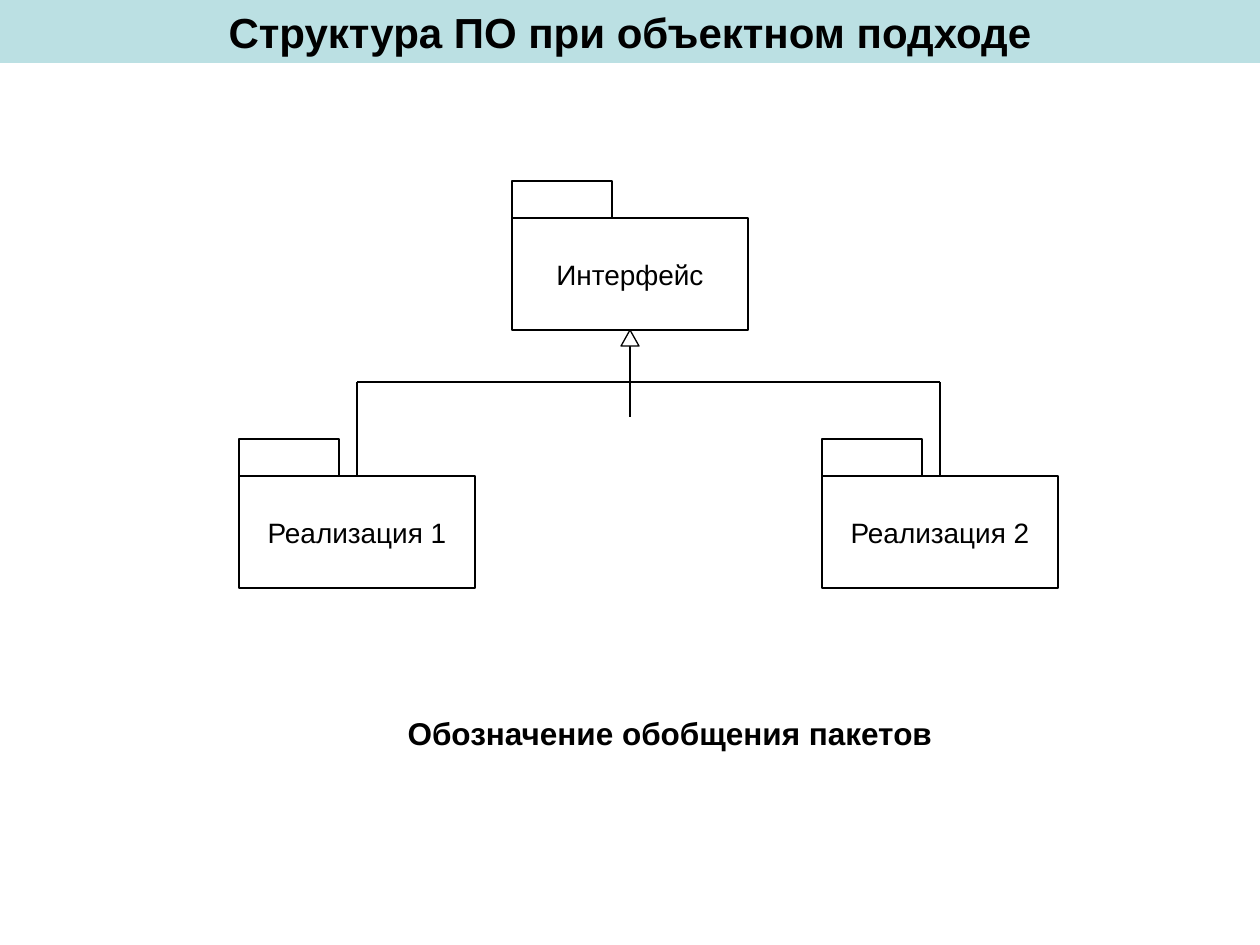
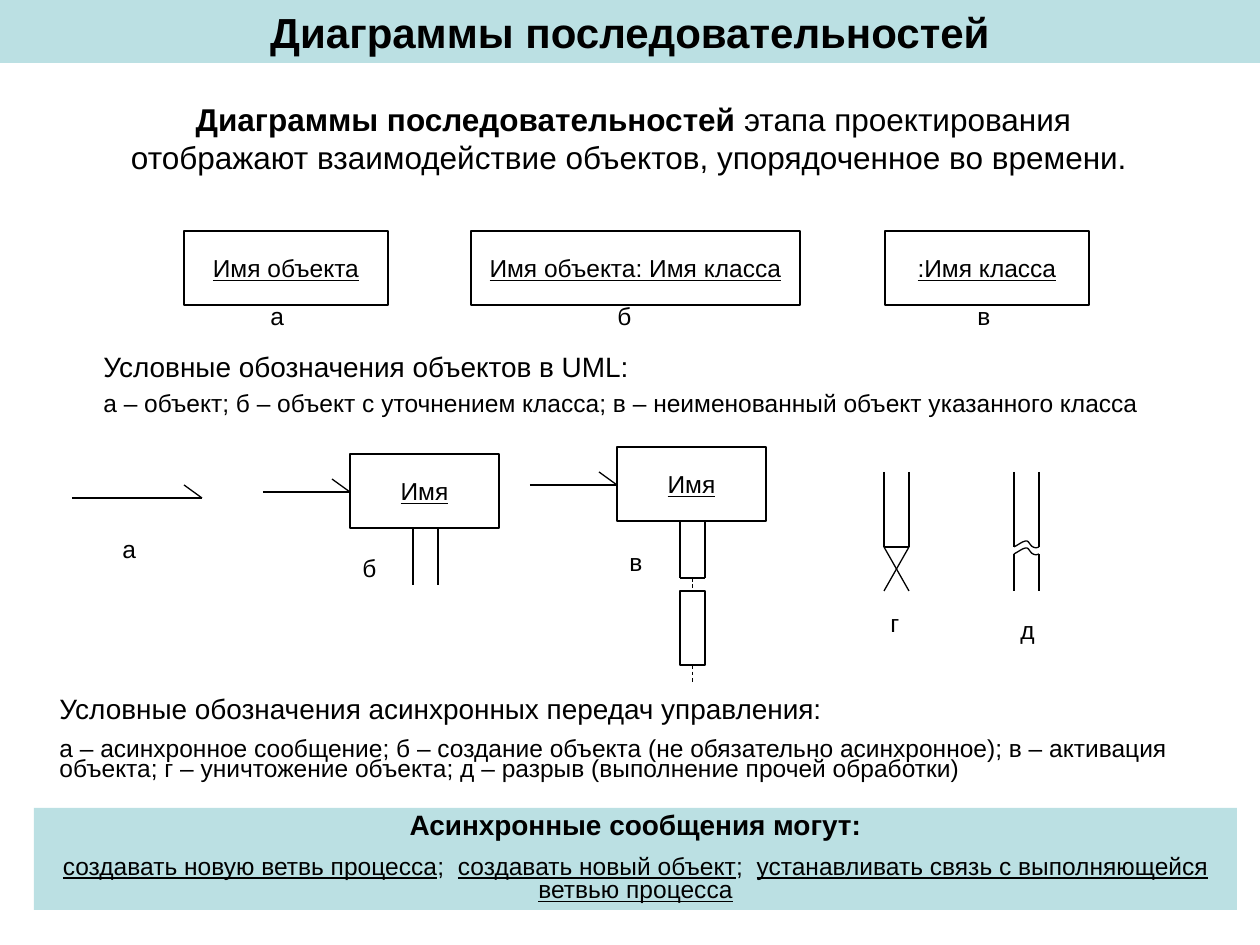
import dataclasses

import lxml.etree
import pptx
import pptx.dml.color
import pptx.enum.dml
import pptx.enum.shapes
import pptx.enum.text
import pptx.oxml.ns
import pptx.util

KIND = pptx.enum.shapes.MSO_SHAPE
ALIGN = pptx.enum.text.PP_ALIGN
ANCHOR = pptx.enum.text.MSO_ANCHOR
UNIT = 914400 / 126  # EMU in one px


@dataclasses.dataclass(frozen=True)
class Theme:
    ink: str = "000000"
    paper: str = "FFFFFF"
    band: str = "BBE0E3"
    font: str = "Arial"
    title: int = 24
    lead: int = 18
    text: int = 16
    small: int = 14
    thin: float = 0.75
    hair: float = 0.5
    gap: float = 0.625  # space before a paragraph, as a share of its size


THEME = Theme()


@dataclasses.dataclass
class Para:
    runs: list  # pairs of text and marks: "b" bold, "u" underlined
    size: int
    align: ALIGN = ALIGN.LEFT
    gap: float = THEME.gap
    pitch: float = 1.0


def px(*sizes):
    return [round(size * UNIT) for size in sizes]


def tint(code):
    return pptx.dml.color.RGBColor.from_string(code)


# Text

def write(shape, paras, wrap=True, anchor=ANCHOR.TOP):
    frame = shape.text_frame
    frame.word_wrap = wrap
    frame.vertical_anchor = anchor
    for i, para in enumerate(paras):
        item = frame.add_paragraph() if i else frame.paragraphs[0]
        item.alignment = para.align
        item.line_spacing = para.pitch
        item.space_before = pptx.util.Pt(para.size * para.gap)
        for words, marks in para.runs:
            run = item.add_run()
            run.text = words
            run.font.name = THEME.font
            run.font.size = pptx.util.Pt(para.size)
            run.font.bold = "b" in marks
            run.font.underline = "u" in marks
            run.font.color.rgb = tint(THEME.ink)


def note(slide, x, y, w, h, paras):
    write(slide.shapes.add_textbox(*px(x, y, w, h)), paras)


def mark(slide, x, y, sign):
    note(slide, x, y, 43, 43, [Para([(sign, "")], THEME.small)])


# Shapes and lines

def paint(shape, fill=None, edge=True):
    shape.shadow.inherit = False
    if fill:
        shape.fill.solid()
        shape.fill.fore_color.rgb = tint(fill)
    else:
        shape.fill.background()
    if edge:
        shape.line.color.rgb = tint(THEME.ink)
        shape.line.width = pptx.util.Pt(THEME.thin)
    else:
        shape.line.fill.background()


def draw(shapes, x, y, w, h, fill=None, edge=True, kind=KIND.RECTANGLE):
    shape = shapes.add_shape(kind, *px(x, y, w, h))
    paint(shape, fill, edge)
    return shape


def box(shapes, x, y, w, h, name, size, marks=""):
    para = Para([(name, marks)], size, ALIGN.CENTER, gap=0)
    write(draw(shapes, x, y, w, h), [para], wrap=False, anchor=ANCHOR.MIDDLE)


def band(slide, x, y, w, h, paras):
    write(draw(slide.shapes, x, y, w, h, THEME.band, edge=False), paras)


def chain(shapes, *points, dashed=False):
    """Join the points by straight lines."""
    for start, end in zip(points, points[1:]):
        line = shapes.add_connector(
            pptx.enum.shapes.MSO_CONNECTOR.STRAIGHT, *px(*start, *end))
        line.line.color.rgb = tint(THEME.ink)
        line.line.width = pptx.util.Pt(THEME.hair if dashed else THEME.thin)
        if dashed:
            line.line.dash_style = pptx.enum.dml.MSO_LINE.DASH
        lxml.etree.SubElement(line._element.spPr,
                              pptx.oxml.ns.qn("a:effectLst"))


def group(slide):
    return slide.shapes.add_group_shape().shapes


# Diagram parts

def pack(slide, x, y, name):
    """UML package: a body with a tab on its top left."""
    parts = group(slide)
    box(parts, x, y, 236, 112, name, THEME.text)
    draw(parts, x, y - 37, 100, 37)


def arrow(shapes, tail, tip, y):
    """Half-headed arrow of an asynchronous message."""
    chain(shapes, (tail, y), (tip, y), (tip - 18, y - 13))


def rails(shapes, x, top, base):
    for side in (x, x + 25):
        chain(shapes, (side, top), (side, base))


def node(slide, x, y):
    """Object that gets a message, with the start of its activation."""
    parts = group(slide)
    box(parts, x, y, 149, 74, "Имя", THEME.small, "u")
    arrow(parts, x - 87, x, y + 38)
    rails(parts, x + 63, y + 74, y + 131)
    return parts


def wave(shapes, x, y):
    """Break sign made of three cubic curves."""
    knots = [(0, 0), (5, -2.5), (9, -6), (12.5, -6), (15, -6), (16, -1.5),
             (19, 0), (21, 1), (23, 1), (25, 0)]
    steps = 8
    dots = []
    for first in range(0, 9, 3):
        a, b, c, d = knots[first:first + 4]
        for step in range(1, steps + 1):
            t = step / steps
            s = 1 - t
            dots.append(px(*(
                base + s**3 * a[i] + 3 * s * s * t * b[i]
                + 3 * s * t * t * c[i] + t**3 * d[i]
                for i, base in enumerate((x, y)))))
    pen = shapes.build_freeform(*px(x, y), scale=1.0)
    pen.add_line_segments(dots, close=False)
    paint(pen.convert_to_shape())


# Slides

def start(deck, title):
    slide = deck.slides.add_slide(deck.slide_layouts[6])
    band(slide, 0, 0, 1260, 63,
         [Para([(title, "b")], THEME.title, ALIGN.CENTER)])
    return slide


def struct(deck):
    slide = start(deck, "Структура ПО при объектном подходе")
    pack(slide, 512, 218, "Интерфейс")
    pack(slide, 239, 476, "Реализация 1")
    pack(slide, 822, 476, "Реализация 2")

    # Generalization link
    link = group(slide)
    chain(link, (357, 476), (357, 382), (940, 382), (940, 476))
    chain(link, (630, 330), (630, 417))
    draw(link, 621, 330, 18, 16, THEME.paper, kind=KIND.ISOSCELES_TRIANGLE)

    note(slide, 152, 708, 1036, 50,
         [Para([("Обозначение обобщения пакетов", "b")],
               THEME.lead, ALIGN.CENTER)])


def order(deck):
    slide = start(deck, "Диаграммы последовательностей")
    note(slide, 91, 94, 1085, 88, [Para([
        ("Диаграммы последовательностей", "b"),
        (" этапа проектирования отображают взаимодействие объектов, "
         "упорядоченное во времени. ", "")], THEME.lead, ALIGN.CENTER)])

    # Object signs
    for x, w, name, left, sign in (
            (184, 204, "Имя объекта", 258, "а"),
            (471, 329, "Имя объекта: Имя класса", 605, "б"),
            (885, 204, ":Имя класса", 965, "в")):
        box(slide.shapes, x, 231, w, 74, name, THEME.small, "u")
        mark(slide, left, 295, sign)
    note(slide, 91, 343, 1074, 79, [
        Para([("Условные обозначения объектов в UML:", "")], THEME.text),
        Para([("а – объект; б – объект с уточнением класса; "
               "в – неименованный объект указанного класса", "")],
             THEME.small, pitch=0.6)])

    # Message, creation and activation
    arrow(group(slide), 72, 202, 498)
    node(slide, 350, 454)
    live = node(slide, 617, 447)
    chain(live, (680, 578), (705, 578))
    chain(live, (692, 578), (692, 683), dashed=True)
    draw(live, 680, 591, 25, 74, THEME.paper)

    # Destruction
    kill = group(slide)
    rails(kill, 884, 472, 547)
    chain(kill, (909, 591), (884, 547), (909, 547), (884, 591))

    # Break
    rift = group(slide)
    for top, base, crest in ((472, 547, 547), (554, 591, 554)):
        rails(rift, 1014, top, base)
        wave(rift, 1014, crest)

    for x, y, sign in ((110, 528, "а"), (350, 547, "б"), (617, 541, "в"),
                       (878, 602, "г"), (1008, 609, "д")):
        mark(slide, x, y, sign)

    # Legend and summary
    note(slide, 47, 689, 1191, 100, [
        Para([("Условные обозначения асинхронных передач управления:", "")],
             THEME.text, pitch=0.9),
        Para([("а – асинхронное сообщение; б – создание объекта "
               "(не обязательно асинхронное); в – активация объекта; "
               "г – уничтожение объекта; д – разрыв "
               "(выполнение прочей обработки)", "")],
             THEME.small, pitch=0.7)])
    band(slide, 34, 808, 1203, 102, [
        Para([("Асинхронные сообщения могут:", "b")],
             THEME.text, ALIGN.CENTER, pitch=0.8),
        Para([("создавать новую ветвь процесса", "u"), (";  ", ""),
              ("создавать новый объект", "u"), (";  ", ""),
              ("устанавливать связь с выполняющейся ветвью процесса", "u")],
             THEME.small, ALIGN.CENTER, pitch=0.8)])


def main():
    deck = pptx.Presentation()
    deck.slide_width, deck.slide_height = px(1260, 945)
    struct(deck)
    order(deck)
    deck.save("out.pptx")


if __name__ == "__main__":
    main()
